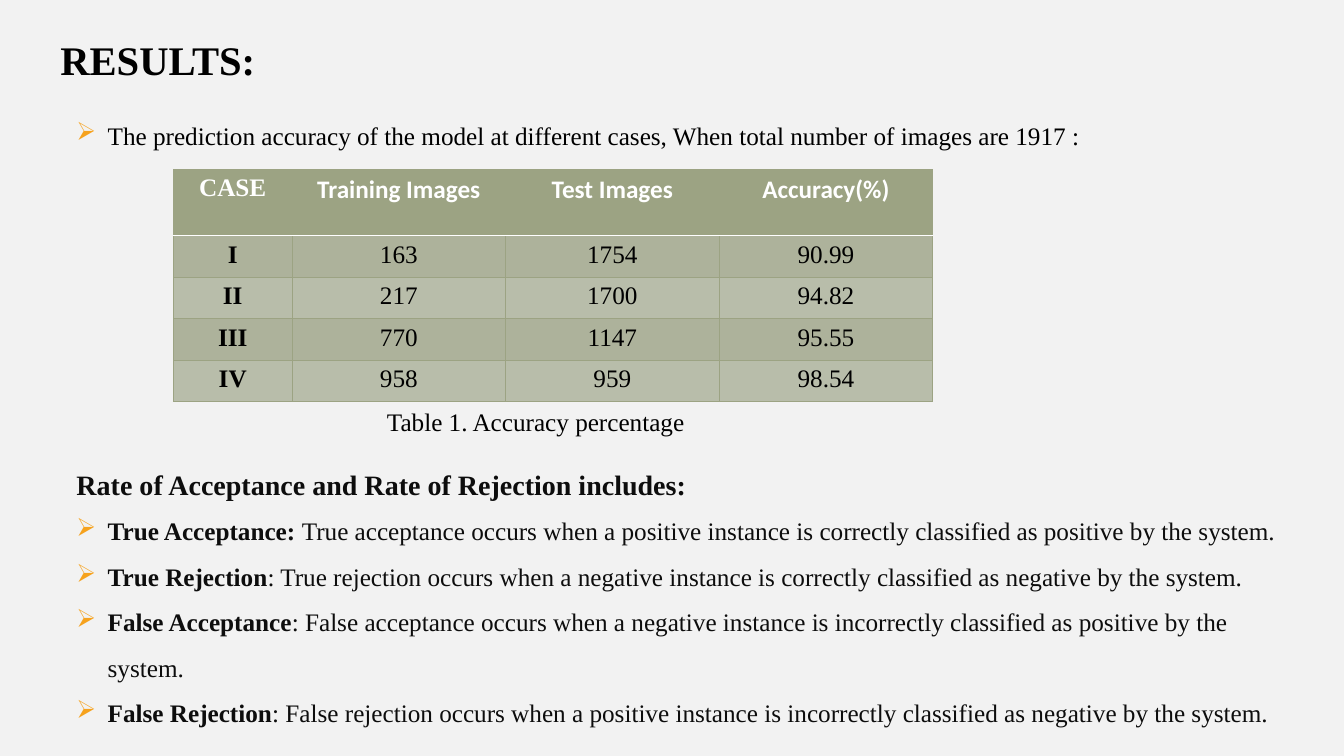
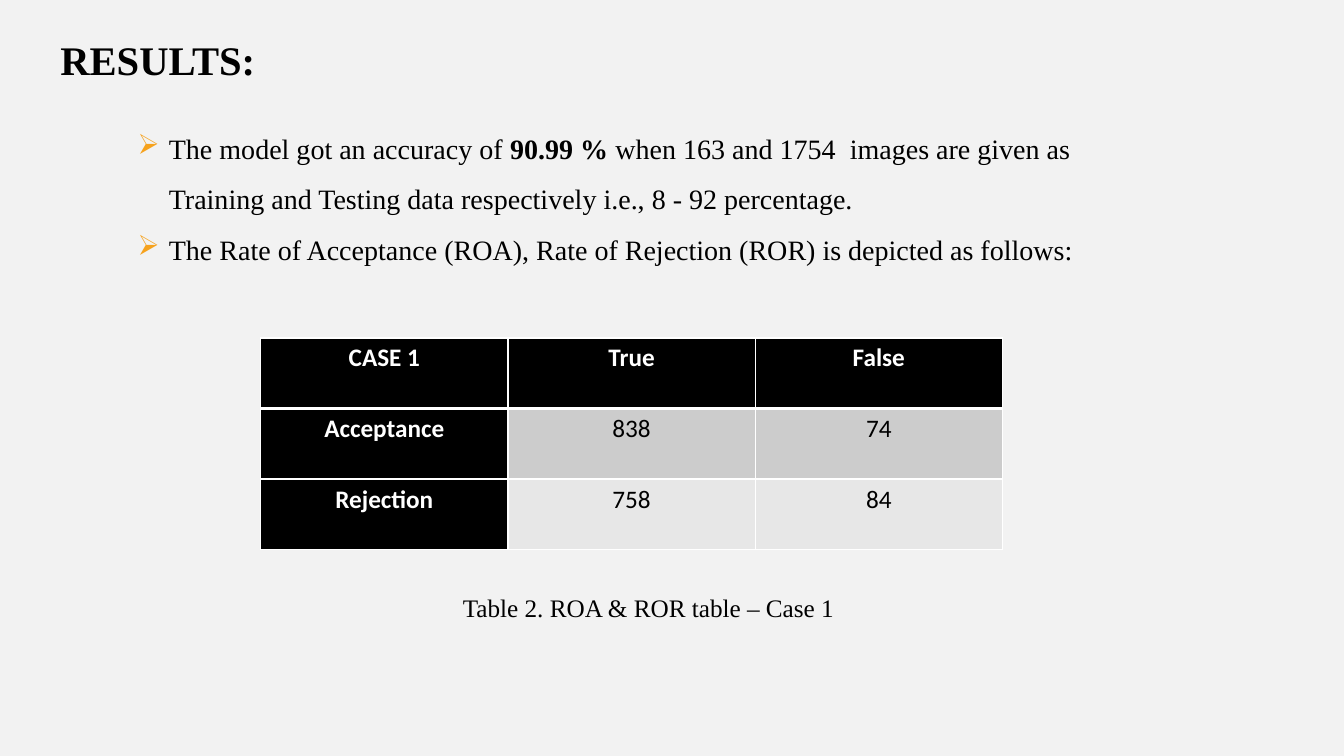
from lxml.etree import SubElement
from pptx import Presentation
from pptx.dml.color import RGBColor
from pptx.enum.text import PP_ALIGN
from pptx.oxml import parse_xml
from pptx.oxml.ns import nsdecls, qn
from pptx.util import Inches, Pt

INK = {
    "page": "F2F2F2", "black": "000000", "soft": "0D0D0D", "white": "FFFFFF",
    "mark": "F6A21D", "sage": "9CA383", "mid": "ADB29B", "pale": "B8BDAA",
    "grey": "CCCCCC", "light": "E7E7E7",
}
SERIF, SANS = "Times New Roman", "Calibri"
PAGE = (0, 0, Inches(13.33), Inches(7.5))


def paint(name):
    """Return the named colour."""
    return RGBColor.from_string(INK[name])


def part(box, left, top, width, height):
    """Return a box inside another, given in percent of its size."""
    x, y, w, h = box
    return (int(x + w * left / 100), int(y + h * top / 100),
            int(w * width / 100), int(h * height / 100))


def write(par, text, size=18, font=SERIF, ink="black", bold=False,
          align=None, space=None, mark=False):
    """Fill a paragraph; asterisks switch bold on and off."""
    par.alignment = align
    if space:
        par.line_spacing = space
    if mark:
        props = par._p.get_or_add_pPr()
        props.set("marL", str(Inches(0.31)))
        props.set("indent", str(-Inches(0.31)))
        tint = SubElement(props, qn("a:buClr"))
        SubElement(tint, qn("a:srgbClr"), val=INK["mark"])
        SubElement(props, qn("a:buChar"), char="➢")
    for i, piece in enumerate(text.split("*")):
        if piece:
            run = par.add_run()
            run.text = piece
            run.font.size = Pt(size)
            run.font.name = font
            run.font.bold = bold or i % 2 == 1
            run.font.color.rgb = paint(ink)


def block(slide, box, *items):
    """Place a text box of (text, format) paragraphs."""
    frame = slide.shapes.add_textbox(*box).text_frame
    frame.word_wrap = True
    for i, (text, look) in enumerate(items):
        par = frame.add_paragraph() if i else frame.paragraphs[0]
        write(par, text, **look)


def edge(cell, **sides):
    """Draw cell borders, each given as a colour and a width."""
    props = cell._tc.get_or_add_tcPr()
    for i, side in enumerate("LRTB"):
        ink, width = sides[side]
        props.insert(i, parse_xml(
            f'<a:ln{side} {nsdecls("a")} w="{Pt(width)}"><a:solidFill>'
            f'<a:srgbClr val="{INK[ink]}"/></a:solidFill></a:ln{side}>'))


def split(total, shares):
    """Divide a length by weights."""
    return [int(total * share / sum(shares)) for share in shares]


def grid(slide, box, cols, rows, data, style, line, rule):
    """Place a table whose cells get their look from a style function."""
    table = slide.shapes.add_table(len(rows), len(cols), *box).table
    for col, width in zip(table.columns, split(box[2], cols)):
        col.width = width
    for row, height in zip(table.rows, split(box[3], rows)):
        row.height = height
    for r, texts in enumerate(data):
        for c, text in enumerate(texts):
            cell = table.cell(r, c)
            fill, look = style(r, c)
            cell.fill.solid()
            cell.fill.fore_color.rgb = paint(fill)
            edge(cell, L=line, R=line, T=rule if r == 1 else line,
                 B=rule if r == 0 else line)
            write(cell.text_frame.paragraphs[0], text,
                  align=PP_ALIGN.CENTER, **look)


def sage(r, c):
    """Style the accuracy table."""
    if r == 0:
        return "sage", dict(ink="white", bold=True, font=SANS if c else SERIF)
    return ("mid" if r % 2 else "pale"), dict(bold=c == 0)


def dark(r, c):
    """Style the rate table."""
    if r == 0 or c == 0:
        return "black", dict(ink="white", bold=True, font=SANS)
    return ("grey" if r % 2 else "light"), dict(font=SANS)


def start(deck):
    """Add a slide with the shared title."""
    slide = deck.slides.add_slide(deck.slide_layouts[6])
    block(slide, part(PAGE, 3.75, 4, 39.5, 7.9),
          ("RESULTS:", dict(size=29, bold=True)))
    return slide


def cases(slide, box):
    """Fill the slide on accuracy by case."""
    block(slide, part(box, 4.95, 15.2, 78.5, 5.3),
          ("The prediction accuracy of the model at different cases, "
           "When total number of images are 1917 :", dict(mark=True)))
    data = [("CASE", "Training Images", "Test Images", "Accuracy(%)"),
            ("I", "163", "1754", "90.99"),
            ("II", "217", "1700", "94.82"),
            ("III", "770", "1147", "95.55"),
            ("IV", "958", "959", "98.54")]
    grid(slide, part(box, 12.9, 22.4, 56.5, 30.7), (5, 9, 9, 9),
         (8, 5, 5, 5, 5), data, sage, ("sage", 0.5), ("white", 1))
    block(slide, part(box, 28.05, 53.1, 26.1, 5.3),
          ("Table 1. Accuracy percentage", {}))
    base = dict(ink="soft", space=1.5)
    rates = [
        "*True Acceptance: *True acceptance occurs when a positive instance "
        "is correctly classified as positive by the system.",
        "*True Rejection*: True rejection occurs when a negative instance "
        "is correctly classified as negative by the system.",
        "*False Acceptance*: False acceptance occurs when a negative instance "
        "is incorrectly classified as positive by the system.",
        "*False Rejection*: False rejection occurs when a positive instance "
        "is incorrectly classified as negative by the system.",
    ]
    block(slide, part(box, 4.95, 58.9, 92.4, 41),
          ("Rate of Acceptance and Rate of Rejection includes:",
           dict(base, size=20, bold=True)),
          *[(text, dict(base, mark=True)) for text in rates])


def rates(slide, box):
    """Fill the slide on acceptance and rejection in the first case."""
    look = dict(size=20, space=1.5, mark=True)
    block(slide, part(box, 9.5, 14.5, 76.2, 22),
          ("The model got an accuracy of *90.99 % *when 163 and 1754  images "
           "are given as Training and Testing data respectively i.e., "
           "8 - 92 percentage.", look),
          ("The Rate of Acceptance (ROA), Rate of Rejection (ROR) "
           "is depicted as follows:", look))
    data = [("CASE 1", "True", "False"),
            ("Acceptance", "838", "74"),
            ("Rejection", "758", "84")]
    grid(slide, part(box, 19.4, 44.7, 55.2, 28), (1, 1, 1), (1, 1, 1),
         data, dark, ("white", 1), ("white", 3))
    block(slide, part(box, 33.7, 77.7, 29.8, 9.5),
          ("Table 2. ROA & ROR table – Case 1", {}))


def main():
    """Build and save the deck."""
    deck = Presentation()
    deck.slide_width, deck.slide_height = PAGE[2:]
    back = deck.slide_master.background.fill
    back.solid()
    back.fore_color.rgb = paint("page")
    for fill in (cases, rates):
        fill(start(deck), PAGE)
    deck.save("out.pptx")


if __name__ == "__main__":
    main()
